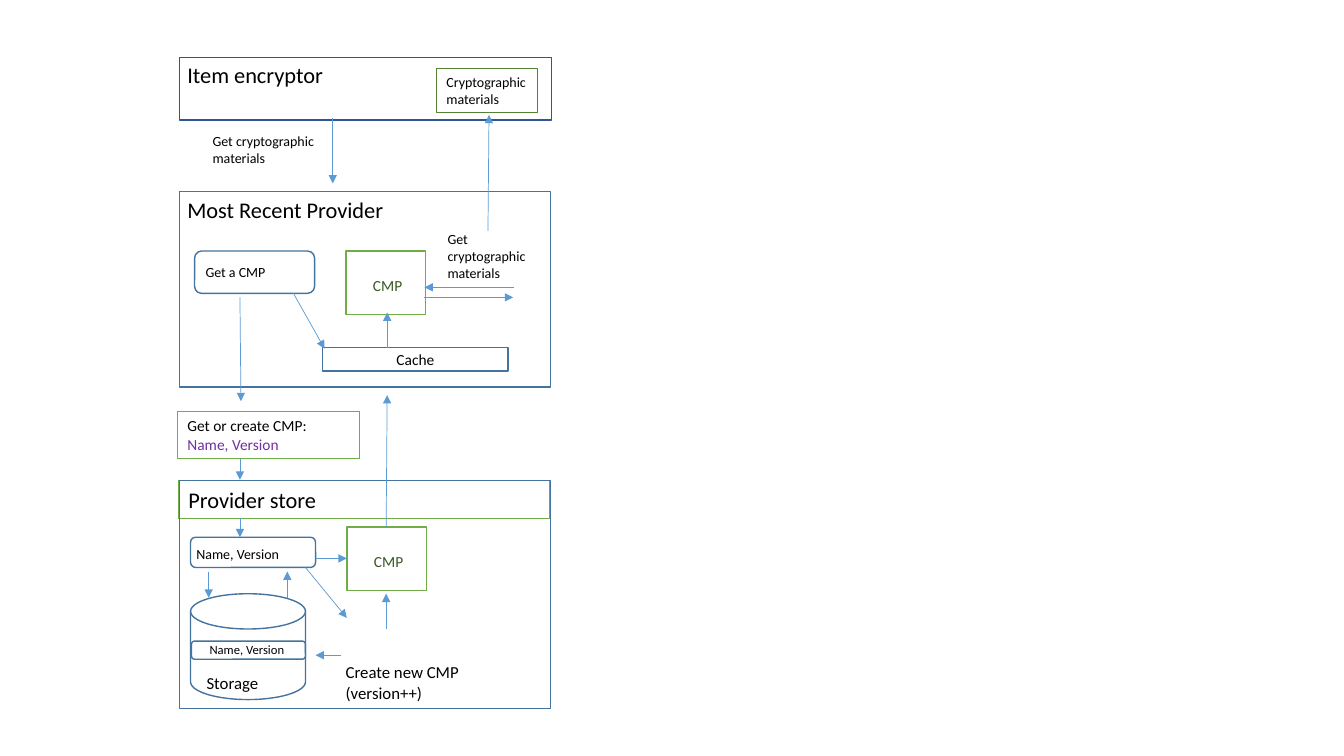
from lxml.etree import SubElement
from pptx import Presentation
from pptx.dml.color import RGBColor
from pptx.enum.shapes import MSO_CONNECTOR, MSO_SHAPE as SHAPE
from pptx.enum.text import MSO_ANCHOR as ANCHOR, MSO_AUTO_SIZE as FIT, PP_ALIGN as ALIGN
from pptx.oxml.ns import qn
from pptx.util import Inches, Pt

BLACK = RGBColor(0x00, 0x00, 0x00)
NAVY = RGBColor(0x2F, 0x55, 0x97)
STEEL = RGBColor(0x43, 0x73, 0x9E)
SKY = RGBColor(0x5B, 0x9B, 0xD5)
GREEN = RGBColor(0x70, 0xAD, 0x47)
DEEP_GREEN = RGBColor(0x54, 0x82, 0x35)
FOREST = RGBColor(0x38, 0x57, 0x23)
PURPLE = RGBColor(0x70, 0x30, 0xA0)


class Diagram:
    """Draws boxes, labels and arrows on one slide in a shared style."""

    font_name = "Calibri"

    def __init__(self, slide):
        self.shapes = slide.shapes

    def caption(self, frame, text, size, color=BLACK, wrap=False, align=ALIGN.LEFT,
                anchor=ANCHOR.TOP, fit=FIT.SHAPE_TO_FIT_TEXT):
        frame.text = text
        frame.word_wrap = wrap
        frame.auto_size = fit
        frame.vertical_anchor = anchor
        for paragraph in frame.paragraphs:
            paragraph.alignment = align
            paragraph.font.name = self.font_name
            paragraph.font.size = Pt(size)
            paragraph.font.color.rgb = color

    def box(self, left, top, width, height, color=STEEL, weight=1, kind=SHAPE.RECTANGLE):
        shape = self.shapes.add_shape(kind, *map(Inches, (left, top, width, height)))
        shape.shadow.inherit = False
        shape.fill.background()
        shape.line.color.rgb = color
        shape.line.width = Pt(weight)
        return shape.text_frame

    def label(self, left, top, width, height, text, size, color=BLACK, wrap=False):
        box = self.shapes.add_textbox(*map(Inches, (left, top, width, height)))
        self.caption(box.text_frame, text, size, color, wrap)

    def arrow(self, *ends):
        connector = self.shapes.add_connector(MSO_CONNECTOR.STRAIGHT, *map(Inches, ends))
        connector.line.color.rgb = SKY
        connector.line.width = Pt(0.5)
        properties = connector._element.spPr
        SubElement(properties.find(qn("a:ln")), qn("a:tailEnd"), type="triangle")
        SubElement(properties, qn("a:effectLst"))

    def cmp(self, left, top):
        self.box(left, top, 0.79, 0.63, GREEN)
        self.label(left + 0.17, top + 0.2, 0.49, 0.19, "CMP", 11, FOREST)


def draw_item_encryptor(diagram):
    diagram.box(1.78, 0.57, 3.69, 0.62, NAVY)
    diagram.label(1.76, 0.56, 1.57, 0.37, "Item encryptor", 16)
    materials = diagram.box(4.33, 0.68, 1, 0.44, DEEP_GREEN, 0.75)
    diagram.caption(materials, "Cryptographic\nmaterials", 10)
    diagram.label(2.01, 1.27, 2.21, 0.44, "Get cryptographic\nmaterials", 10, wrap=True)


def draw_most_recent_provider(diagram):
    diagram.box(1.78, 1.9, 3.68, 1.94)
    diagram.label(1.76, 1.9, 2.22, 0.37, "Most Recent Provider", 16)
    diagram.box(1.93, 2.49, 1.19, 0.42, kind=SHAPE.ROUNDED_RECTANGLE)
    diagram.label(1.94, 2.57, 0.8, 0.27, "Get a CMP", 10)
    diagram.cmp(3.43, 2.49)
    diagram.label(4.34, 2.24, 0.99, 0.61, "Get\ncryptographic\nmaterials", 10)
    cache = diagram.box(3.2, 3.45, 1.84, 0.23)
    diagram.caption(cache, "Cache", 11, wrap=True, align=ALIGN.CENTER,
                    anchor=ANCHOR.MIDDLE, fit=FIT.NONE)


def draw_request(diagram):
    request = diagram.box(1.76, 4.08, 1.81, 0.47, GREEN, 0.75)
    diagram.caption(request, "Get or create CMP:\v", 11, wrap=True)
    name_version = request.paragraphs[0].add_run()
    name_version.text = "Name, Version"
    name_version.font.color.rgb = PURPLE


def draw_provider_store(diagram):
    heading = diagram.box(1.77, 4.77, 3.68, 0.37, GREEN, 0.75)
    diagram.caption(heading, "Provider store", 16, wrap=True)
    diagram.box(1.78, 4.77, 3.68, 2.26)
    diagram.box(1.89, 5.33, 1.24, 0.3, kind=SHAPE.ROUNDED_RECTANGLE)
    diagram.label(1.85, 5.36, 1.04, 0.27, "Name, Version", 10)
    diagram.cmp(3.44, 5.23)
    diagram.box(1.89, 5.89, 1.14, 1.05, kind=SHAPE.FLOWCHART_MAGNETIC_DISK)
    diagram.label(1.95, 6.62, 0.72, 0.3, "Storage", 12)
    diagram.box(1.9, 6.36, 1.13, 0.18, kind=SHAPE.ROUNDED_RECTANGLE)
    diagram.label(1.98, 6.32, 0.96, 0.25, "Name, Version", 9)
    diagram.label(3.33, 6.52, 1.34, 0.5, "Create new CMP\v(version++)", 12)


ARROWS = [
    (3.3, 1.17, 3.3, 1.82),
    (4.84, 2.29, 4.85, 1.14),
    (2.38, 2.95, 2.39, 3.98),
    (2.91, 2.91, 3.22, 3.46),
    (3.84, 3.45, 3.84, 3.1),
    (5.1, 2.85, 4.21, 2.85),
    (4.21, 2.95, 5.09, 2.95),
    (2.38, 4.55, 2.38, 4.76),
    (3.83, 5.23, 3.84, 3.92),
    (2.38, 5.14, 2.38, 5.33),
    (3.13, 5.54, 3.44, 5.54),
    (3.03, 5.63, 3.44, 6.13),
    (2.07, 5.67, 2.07, 5.93),
    (2.85, 5.93, 2.85, 5.67),
    (3.83, 6.24, 3.83, 5.89),
    (3.38, 6.5, 3.13, 6.5),
]


def main():
    deck = Presentation()
    deck.slide_width, deck.slide_height = Inches(13.33), Inches(7.5)
    diagram = Diagram(deck.slides.add_slide(deck.slide_layouts[6]))
    draw_item_encryptor(diagram)
    draw_most_recent_provider(diagram)
    draw_request(diagram)
    draw_provider_store(diagram)
    for ends in ARROWS:
        diagram.arrow(*ends)
    deck.save("out.pptx")


if __name__ == "__main__":
    main()
